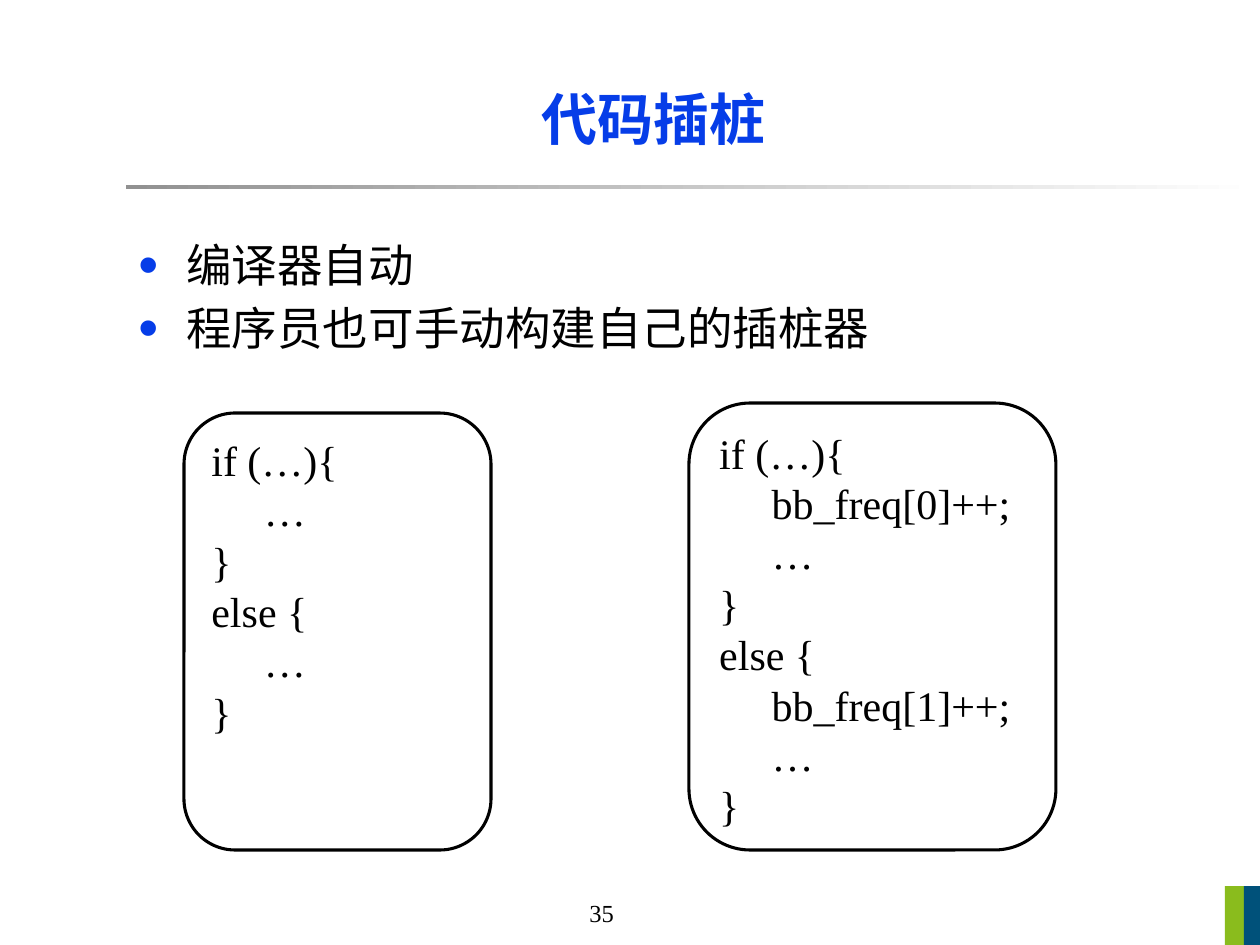
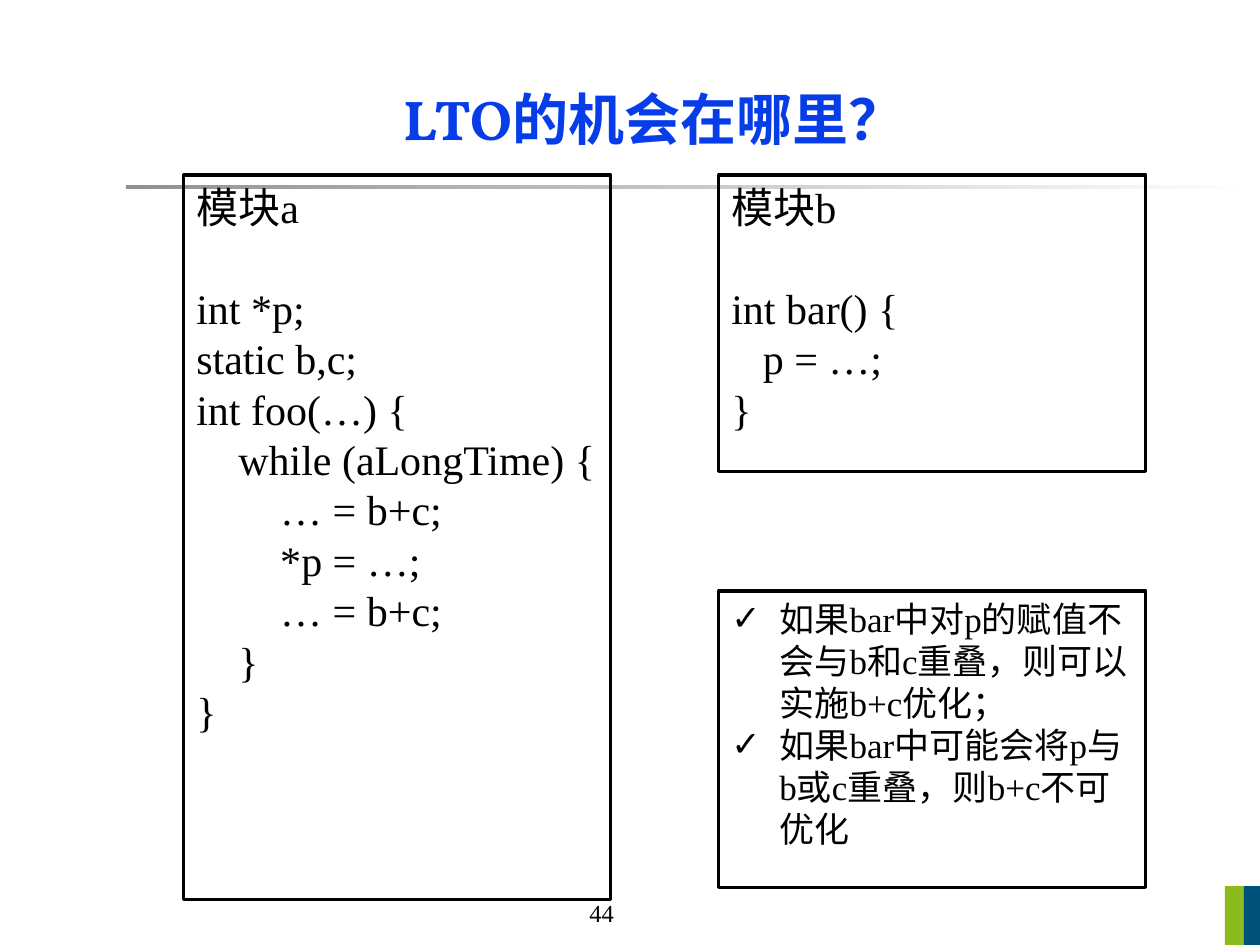
from lxml import etree
from pptx import Presentation
from pptx.dml.color import RGBColor
from pptx.enum.shapes import MSO_SHAPE
from pptx.enum.text import MSO_ANCHOR, PP_ALIGN
from pptx.oxml.ns import qn
from pptx.util import Emu, Pt

BLUE = RGBColor(0x06, 0x3D, 0xE8)
BLACK = RGBColor(0x00, 0x00, 0x00)
GRAY = RGBColor(0x91, 0x91, 0x91)
WHITE = RGBColor(0xFF, 0xFF, 0xFF)
GREEN = RGBColor(0x8A, 0xBC, 0x1D)
TEAL = RGBColor(0x00, 0x51, 0x7A)
PX = 914400 / 126
INDENT = 48
BODY_FONT = "Times New Roman"
TITLE_FORMAT = {"name": "Vollkorn", "size": Pt(32), "bold": True}


def add_box(page, place, kind=None, fill=None, line=None):
    """Add a text box, or a preset shape when a kind is given."""
    place = [Emu(round(length * PX)) for length in place]
    if kind is None:
        box = page.shapes.add_textbox(*place)
    else:
        box = page.shapes.add_shape(kind, *place)
        box.shadow.inherit = False
        if fill is None:
            box.fill.background()
        else:
            box.fill.solid()
            box.fill.fore_color.rgb = fill
        if line is None:
            box.line.fill.background()
        else:
            box.line.color.rgb = line
            box.line.width = Pt(1.75)
    box.text_frame.word_wrap = True
    box.text_frame.vertical_anchor = MSO_ANCHOR.TOP
    return box


def write(box, lines, size, color=BLACK, align=PP_ALIGN.LEFT, bullet=None,
          bullet_color=BLACK, bullet_size=100, before=0, heading_gap=0, style=None):
    """Write one paragraph per line, with bullets if a character is given."""
    style = style or {"name": BODY_FONT, "size": Pt(size), "bold": False}
    for number, line in enumerate(lines):
        frame = box.text_frame
        para = frame.add_paragraph() if number else frame.paragraphs[0]
        para.alignment = align
        if number and before:
            para.space_before = Pt(before)
        if not number and heading_gap:
            para.space_after = Pt(heading_gap)
        if bullet:
            properties = para._p.get_or_add_pPr()
            properties.set("marL", str(round(INDENT * PX)))
            properties.set("indent", str(-round(INDENT * PX)))
            tint = etree.SubElement(properties, qn("a:buClr"))
            etree.SubElement(tint, qn("a:srgbClr"), val=str(bullet_color))
            etree.SubElement(properties, qn("a:buSzPct"), val=str(bullet_size * 1000))
            etree.SubElement(properties, qn("a:buFont"), typeface="Arial")
            etree.SubElement(properties, qn("a:buChar"), char=bullet)
        span = para.add_run()
        span.text = line
        for name, value in style.items():
            setattr(span.font, name, value)
        span.font.color.rgb = color


deck = Presentation()
deck.slide_width = Emu(round(1260 * PX))
deck.slide_height = Emu(round(945 * PX))

# Shared title, rule, corner bands and page number
pages = []
for title, number in [("代码插桩", "35"), ("LTO的机会在哪里？", "44")]:
    page = deck.slides.add_slide(deck.slide_layouts[6])
    pages.append(page)
    page_number = add_box(page, (577, 892, 54, 42))
    page_number.text_frame.word_wrap = False
    write(page_number, [number], 14)

    rule = add_box(page, (126, 185, 1134, 4), MSO_SHAPE.RECTANGLE, GRAY)
    rule.fill.gradient()
    rule.fill.gradient_angle = 0
    for stop, color, position in zip(rule.fill.gradient_stops, (GRAY, WHITE), (0, 1)):
        stop.color.rgb = color
        stop.position = position

    for left, width, color in [(1225, 19, GREEN), (1244, 16, TEAL)]:
        add_box(page, (left, 886, width, 59), MSO_SHAPE.RECTANGLE, color)

    title_box = add_box(page, (134, 55, 1040, 126))
    title_box.text_frame.vertical_anchor = MSO_ANCHOR.MIDDLE
    write(title_box, [title], 32, BLUE, PP_ALIGN.CENTER, style=TITLE_FORMAT)

instrumentation, link_time = pages

# Instrumentation: two points, then the code before and after
points = add_box(instrumentation, (126, 231, 1040, 620))
write(points, ["编译器自动", "程序员也可手动构建自己的插桩器"], 26,
      bullet="•", bullet_color=BLUE, bullet_size=125, before=5)

plain_code = ["if (…){", "     …", "}", "else {", "     …", "}"]
counted_code = ["if (…){", "     bb_freq[0]++;", "     …", "}",
                "else {", "     bb_freq[1]++;", "     …", "}"]
for place, code in [((184, 413, 307, 437), plain_code),
                    ((689, 403, 367, 447), counted_code)]:
    box = add_box(instrumentation, place, MSO_SHAPE.ROUNDED_RECTANGLE, line=BLACK)
    write(box, code, 24)

# Link-time optimisation: two modules and the conclusions
module_a = ["模块a", "int *p;", "static b,c;", "int foo(…) {",
            "    while (aLongTime) {", "        … = b+c;", "        *p = …;",
            "        … = b+c;", "    }", "}"]
module_b = ["模块b", "int bar() {", "   p = …;", "}"]
for left, height, code in [(184, 725, module_a), (719, 297, module_b)]:
    box = add_box(link_time, (left, 175, 427, height), MSO_SHAPE.RECTANGLE, line=BLACK)
    write(box, code, 24, heading_gap=29)

conclusions = add_box(link_time, (719, 591, 427, 297), MSO_SHAPE.RECTANGLE, line=BLACK)
write(conclusions, ["如果bar中对p的赋值不会与b和c重叠，则可以实施b+c优化；",
                    "如果bar中可能会将p与b或c重叠，则b+c不可优化"], 20, bullet="✓")

deck.save("out.pptx")
